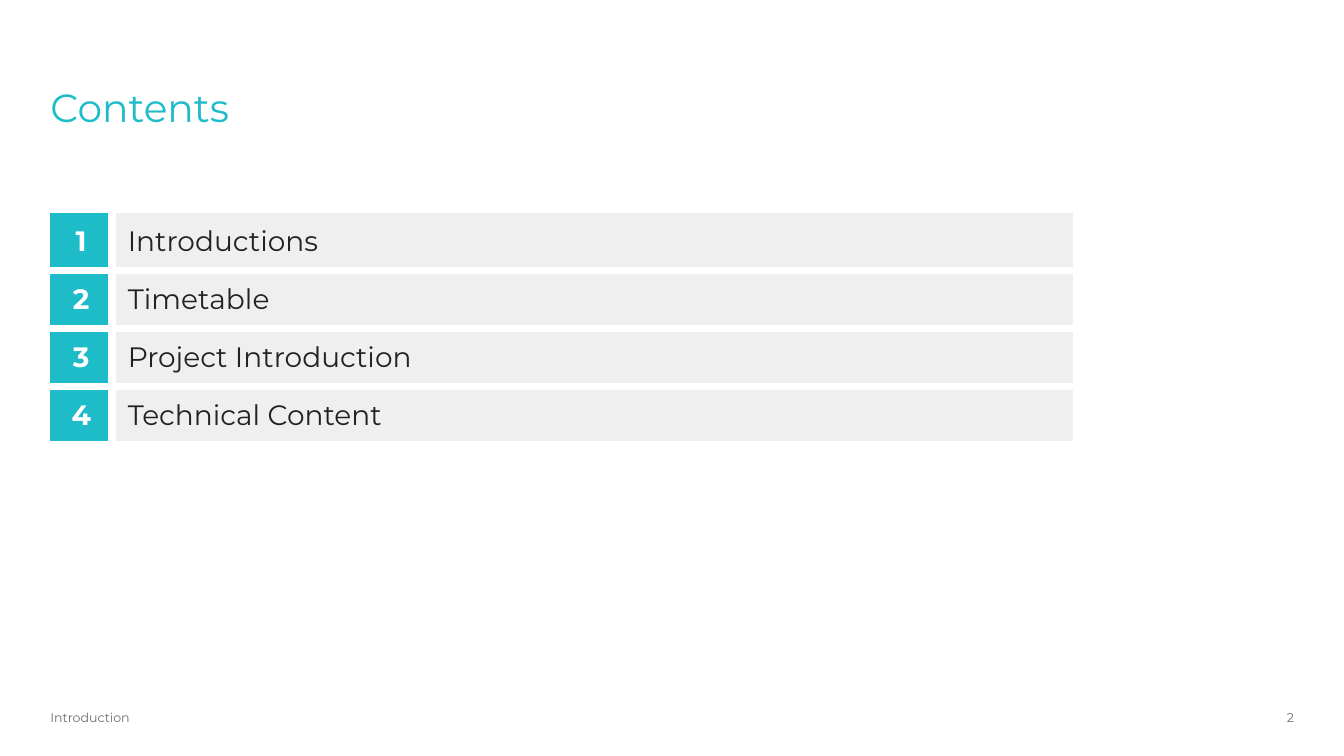
"""Build the contents slide with its numbered table."""
from pptx import Presentation
from pptx import util as u
from pptx.dml.color import RGBColor
from pptx.enum import text
from pptx.oxml import parse_xml
from pptx.oxml.ns import nsdecls

HEAD = "Contents"
TOPICS = ["Introductions", "Timetable", "Project Introduction", "Technical Content"]
FOOT = "Introduction"
PAGE = "2"
FONT = "Montserrat"
HUES = {"teal": "1EBCC8", "pale": "EFEFEF", "dark": "222222", "grey": "6D6F78", "white": "FFFFFF"}
LEFT, TOP = 1.27, 5.36
COLS = (1.55, 24.23)
ROW = 1.46
RULE = 6
FOOTY, FOOTH = 17.75, 0.64
ALIGN = text.PP_ALIGN
ANCHOR = text.MSO_ANCHOR


def write(frame, words, size, hue, align=ALIGN.LEFT, bold=False):
    para = frame.paragraphs[0]
    para.alignment = align
    run = para.add_run()
    run.text = words
    font = run.font
    font.name, font.size, font.bold = FONT, u.Pt(size), bold
    font.color.rgb = RGBColor.from_string(HUES[hue])
    return para


def label(slide, box, words, size, hue, align=ALIGN.LEFT, anchor=ANCHOR.MIDDLE):
    frame = slide.shapes.add_textbox(*map(u.Cm, box)).text_frame
    frame.word_wrap = True
    frame.margin_left = frame.margin_right = frame.margin_top = frame.margin_bottom = 0
    frame.vertical_anchor = anchor
    return write(frame, words, size, hue, align)


def border(cell, sides):
    props = cell._tc.get_or_add_tcPr()
    for side in "LRTB":
        fill = "<a:noFill/>"
        if side in sides:
            fill = f'<a:solidFill><a:srgbClr val="{HUES["white"]}"/></a:solidFill>'
        props.append(parse_xml(f'<a:ln{side} {nsdecls("a")} w="{u.Pt(RULE)}">{fill}</a:ln{side}>'))


def agenda(slide):
    count = len(TOPICS)
    size = (LEFT, TOP, sum(COLS), ROW * count)
    table = slide.shapes.add_table(count, len(COLS), *map(u.Cm, size)).table
    table.first_row = table.horz_banding = False
    for col, wide in zip(table.columns, COLS):
        col.width = u.Cm(wide)
    for i, topic in enumerate(TOPICS):
        table.rows[i].height = u.Cm(ROW)
        looks = [
            (str(i + 1), "R", "teal", "white", ALIGN.CENTER, True, 0.3),
            (topic, "L", "pale", "dark", ALIGN.LEFT, False, 0.2),
        ]
        for j, (words, side, back, hue, align, bold, pad) in enumerate(looks):
            cell = table.cell(i, j)
            border(cell, side + ("TB" if i else "B"))
            cell.fill.solid()
            cell.fill.fore_color.rgb = RGBColor.from_string(HUES[back])
            cell.margin_left = cell.margin_right = u.Cm(0.3 if j else 0.4)
            cell.margin_top = cell.margin_bottom = u.Cm(pad)
            cell.margin_left = cell.margin_right = u.Cm(0.4)
            cell.vertical_anchor = ANCHOR.MIDDLE
            write(cell.text_frame, words, 20, hue, align, bold)


def main():
    deck = Presentation()
    deck.slide_width, deck.slide_height = u.Cm(33.87), u.Cm(19.05)
    slide = deck.slides.add_slide(deck.slide_layouts[6])
    title = label(slide, (LEFT, 2.24, 29.31, 3.15), HEAD, 28, "teal", anchor=ANCHOR.TOP)
    title.line_spacing = 0.9
    agenda(slide)
    label(slide, (LEFT, FOOTY, 23.14, FOOTH), FOOT, 9, "grey")
    label(slide, (30.58, FOOTY, 2.03, FOOTH), PAGE, 9, "grey", ALIGN.RIGHT)
    deck.save("out.pptx")


if __name__ == "__main__":
    main()
